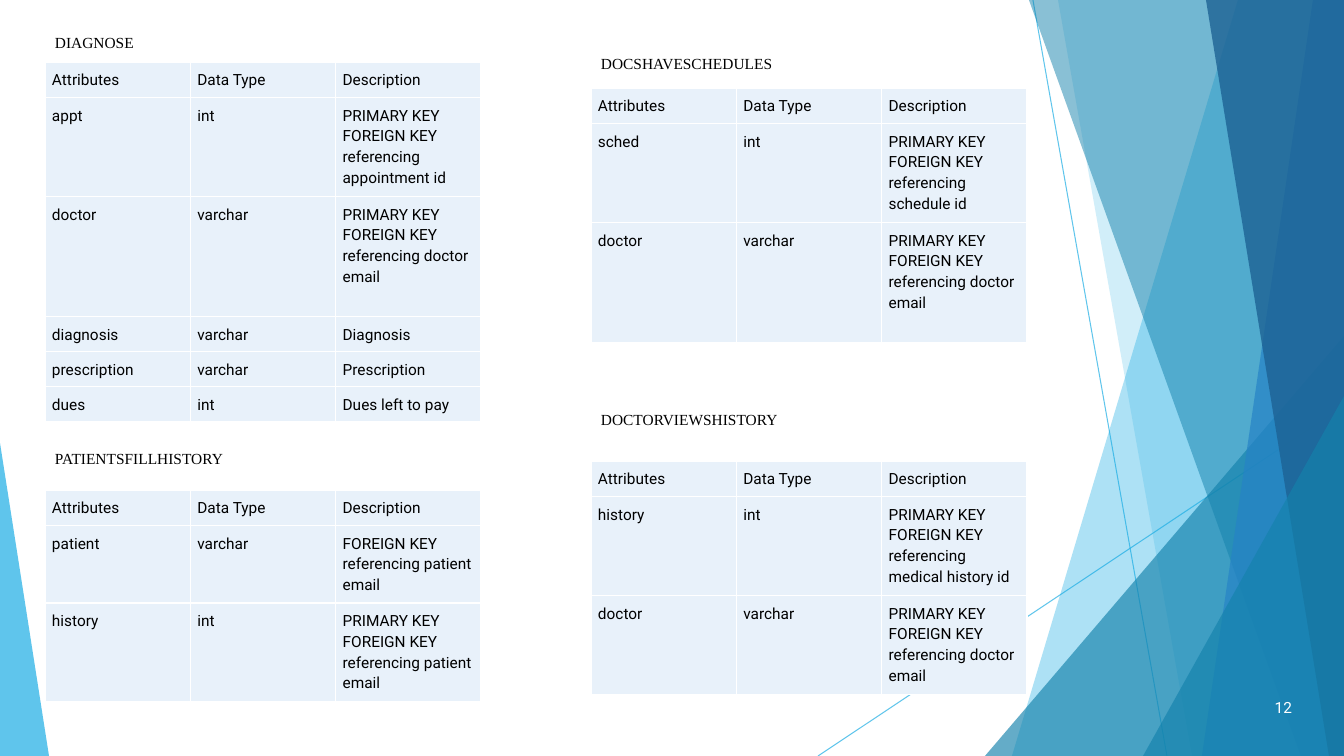
from lxml import etree
from pptx import Presentation
from pptx import util as u
from pptx.dml.color import RGBColor
from pptx.enum import shapes, text
from pptx.oxml.ns import qn

SCALE = 914400 / 100.8
WIDTH, HEIGHT = 1344, 756
LEFT, RIGHT = 45, 591
SKY, TEAL, BLUE, NAVY = "1CADE4", "1482AC", "2683C6", "1D6294"
KEY = "PRIMARY KEY\nFOREIGN KEY referencing "
HEAD = (35, "Attributes", "Data Type", "Description")

LINES = [(1033, 0, 1167, 756), (1344, 406, 818, 756)]
BACK = [
    ([(1238, 0), (1344, 0), (1344, 756), (1012, 756)], SKY, 36),
    ([(1058, 0), (1344, 0), (1344, 756), (1192, 756)], SKY, 20),
]
FRONT = [
    ([(1029, 0), (1344, 0), (1344, 756), (1301, 756)], TEAL, 50),
    ([(1313, 0), (1344, 0), (1344, 756), (1202, 756)], BLUE, 70),
    ([(1206, 0), (1344, 0), (1344, 756), (1329, 756)], NAVY, 80),
]
TABLES = [
    ("DIAGNOSE", LEFT, 25, 62, [
        (99, "appt", "int", KEY + "appointment id"),
        (120, "doctor", "varchar", KEY + "doctor email"),
        (35, "diagnosis", "varchar", "Diagnosis"),
        (35, "prescription", "varchar", "Prescription"),
        (35, "dues", "int", "Dues left to pay")]),
    ("PATIENTSFILLHISTORY", LEFT, 441, 490, [
        (76, "patient", "varchar", "FOREIGN KEY referencing patient email"),
        (96, "history", "int", KEY + "patient email")]),
    ("DOCSHAVESCHEDULES", RIGHT, 46, 88, [
        (99, "sched", "int", KEY + "schedule id"),
        (120, "doctor", "varchar", KEY + "doctor email")]),
    ("DOCTORVIEWSHISTORY", RIGHT, 402, 461, [
        (99, "history", "int", KEY + "medical history id"),
        (98, "doctor", "varchar", KEY + "doctor email")]),
]


def px(*vals):
    """Turn pixel lengths into a list of EMU lengths."""
    return [u.Emu(round(val * SCALE)) for val in vals]


def tint(fill, color):
    """Make a fill solid in a hex color."""
    fill.solid()
    fill.fore_color.rgb = RGBColor.from_string(color)


def fade(shape, alpha):
    """Set the opacity percent of a shape's own color."""
    for node in shape.element.iter(qn("a:srgbClr")):
        etree.SubElement(node, qn("a:alpha"), val=str(alpha * 1000))


def paint(shape, color, alpha):
    """Give a shape a see-through fill without line or shadow."""
    shape.shadow.inherit = False
    shape.line.fill.background()
    tint(shape.fill, color)
    fade(shape, alpha)


def facet(slide, points, color, alpha):
    """Draw one slanted panel."""
    form = slide.shapes.build_freeform(*points[0], scale=SCALE)
    form.add_line_segments(points[1:], close=True)
    paint(form.convert_to_shape(), color, alpha)


def wedge(slide, box, peak, color, alpha):
    """Draw one triangle with its peak at a share of its width."""
    shape = slide.shapes.add_shape(
        shapes.MSO_SHAPE.ISOSCELES_TRIANGLE, *px(*box))
    shape.adjustments[0] = peak
    paint(shape, color, alpha)


def streak(slide, ends):
    """Draw one thin line."""
    line = slide.shapes.add_connector(
        shapes.MSO_CONNECTOR.STRAIGHT, *px(*ends))
    tint(line.line.fill, SKY)
    line.line.width = u.Pt(0.75)
    fade(line, 70)
    etree.SubElement(line.element.spPr, qn("a:effectLst"))


def style(frame, face, color="000000", space=1.15):
    """Set the font and line spacing of all paragraphs."""
    for para in frame.paragraphs:
        para.line_spacing = space
        para.font.name = face
        para.font.size = u.Pt(11)
        para.font.color.rgb = RGBColor.from_string(color)


def label(slide, words, box):
    """Add a text box and return its frame."""
    frame = slide.shapes.add_textbox(*px(*box)).text_frame
    frame.word_wrap = True
    frame.text = words
    return frame


def border(cell):
    """Draw white lines around a cell."""
    props = cell._tc.get_or_add_tcPr()
    for side in ("lnL", "lnR", "lnT", "lnB"):
        line = etree.SubElement(props, qn("a:" + side), w=str(u.Pt(1)))
        fill = etree.SubElement(line, qn("a:solidFill"))
        etree.SubElement(fill, qn("a:srgbClr"), val="FFFFFF")


def fill_cell(cell, words):
    """Write and style one table cell."""
    cell.text = words
    style(cell.text_frame, "Roboto")
    cell.margin_left, cell.margin_right, cell.margin_top, cell.margin_bottom = (
        px(7, 7, 7, 7))
    border(cell)
    tint(cell.fill, "E8F1FA")


def grid(slide, left, top, rows):
    """Add a table from rows of height and cell texts."""
    high = sum(row[0] for row in rows)
    table = slide.shapes.add_table(
        len(rows), 3, *px(left, top, 436, high)).table
    for line, (size, *words) in zip(table.rows, rows):
        line.height = px(size)[0]
        for cell, word in zip(line.cells, words):
            fill_cell(cell, word)


def decor(slide):
    """Draw the lines and panels behind the content."""
    for ends in LINES:
        streak(slide, ends)
    for panel in BACK:
        facet(slide, *panel)
    wedge(slide, (985, 336, 359, 420), 1, TEAL, 66)
    for panel in FRONT:
        facet(slide, *panel)
    wedge(slide, (1143, 396, 201, 360), 1, TEAL, 66)
    wedge(slide, (0, 443, 49, 313), 0, SKY, 70)


def main():
    """Build and save the slide."""
    deck = Presentation()
    deck.slide_width, deck.slide_height = px(WIDTH, HEIGHT)
    slide = deck.slides.add_slide(deck.slide_layouts[6])
    decor(slide)
    for title, left, top, start, rows in TABLES:
        style(label(slide, title, (left, top, 673, 30)), "Times New Roman")
        grid(slide, left, start, [HEAD, *rows])
    page = label(slide, "12", (1226, 687, 76, 40))
    page.vertical_anchor = text.MSO_ANCHOR.MIDDLE
    page.paragraphs[0].alignment = text.PP_ALIGN.RIGHT
    style(page, "Roboto", "FFFFFF", 1.0)
    deck.save("out.pptx")


if __name__ == "__main__":
    main()
